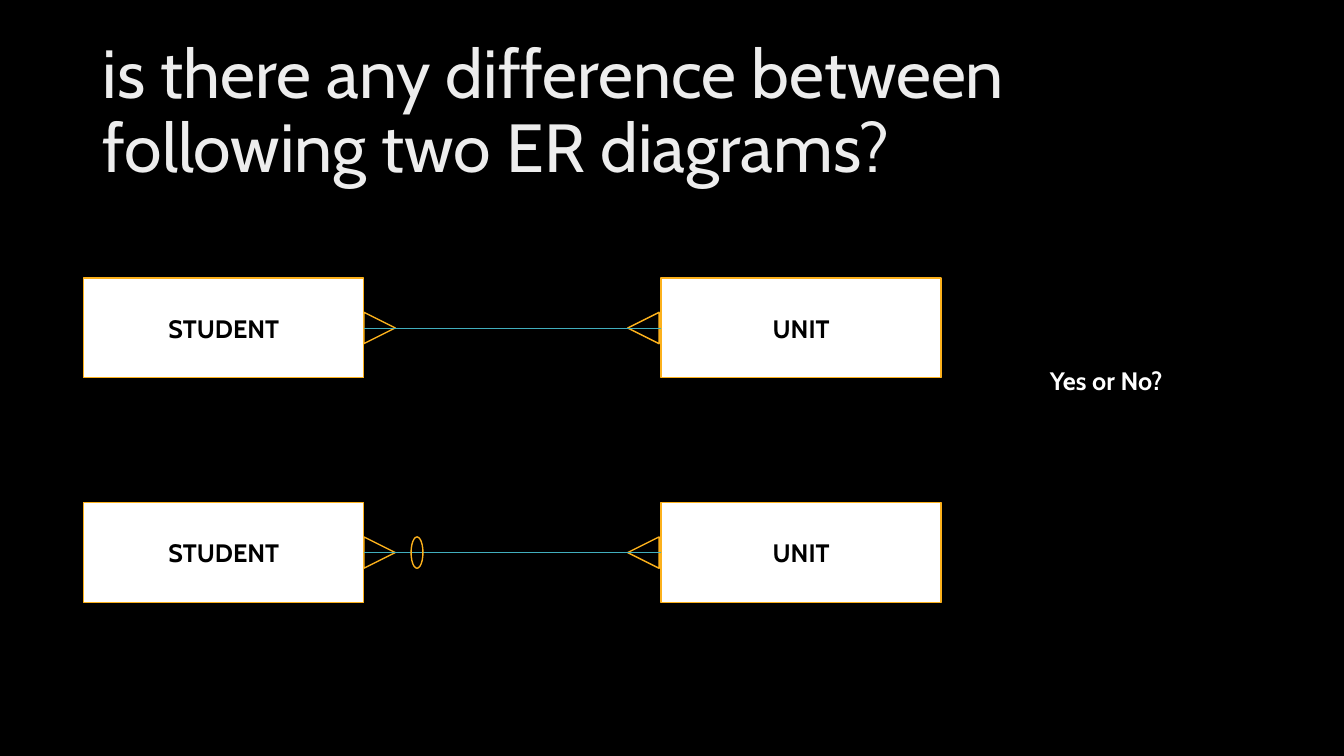
import pptx
import pptx.dml.color
import pptx.enum.shapes
import pptx.enum.text
import pptx.oxml
import pptx.util

Cm = pptx.util.Cm
Pt = pptx.util.Pt
RGBColor = pptx.dml.color.RGBColor
Preset = pptx.enum.shapes.MSO_SHAPE
Anchor = pptx.enum.text.MSO_ANCHOR
Align = pptx.enum.text.PP_ALIGN

QUESTION = "is there any difference between following two ER diagrams?"
ANSWER = "Yes or No?"
ENTITIES = ("STUDENT", "UNIT")
DIAGRAMS = (
    {"top": 7.01, "optional": False},
    {"top": 12.67, "optional": True},
)

BLACK = RGBColor(0x00, 0x00, 0x00)
WHITE = RGBColor(0xFF, 0xFF, 0xFF)
PALE = RGBColor(0xED, 0xED, 0xED)
AMBER = RGBColor(0xFC, 0xB1, 0x1C)
TEAL = RGBColor(0x41, 0xAE, 0xBD)

ENTITY_LEFTS = (2.11, 16.66)
ENTITY_WIDTH, ENTITY_HEIGHT = 7.06, 2.51
FOOT_SIZE = 0.79
FEET = ((9.17, 90), (15.82, 270))
RING_LEFT, RING_WIDTH = 10.36, 0.3

TITLE_FONT = {"name": "Cabin", "size": Pt(48.6)}
LABEL_FONT = {"name": "Cabin", "size": Pt(18), "bold": True}


def write(box, text, font, color, align, **frame_format):
    frame = box.text_frame
    for key, value in frame_format.items():
        setattr(frame, key, value)
    para = frame.paragraphs[0]
    para.alignment = align
    span = para.add_run()
    span.text = text
    for key, value in font.items():
        setattr(span.font, key, value)
    span.font.color.rgb = color
    return para


def add_outline(page, preset, left, top, width, height, fill=None):
    shape = page.shapes.add_shape(preset, Cm(left), Cm(top), Cm(width), Cm(height))
    shape.shadow.inherit = False
    if fill is None:
        shape.fill.background()
    else:
        shape.fill.solid()
        shape.fill.fore_color.rgb = fill
    shape.line.color.rgb = AMBER
    shape.line.width = Pt(1)
    return shape


def add_relation(page, left, right, middle):
    line = page.shapes.add_connector(
        pptx.enum.shapes.MSO_CONNECTOR.STRAIGHT,
        Cm(left), Cm(middle), Cm(right), Cm(middle))
    line.line.color.rgb = TEAL
    line.line.width = Pt(0.5)
    line._element.spPr.append(pptx.oxml.parse_xml(
        '<a:effectLst xmlns:a="http://schemas.openxmlformats.org/drawingml/2006/main"/>'))


def add_diagram(page, top, optional):
    middle = top + ENTITY_HEIGHT / 2
    foot_top = middle - FOOT_SIZE / 2
    for name, left in zip(ENTITIES, ENTITY_LEFTS):
        entity = add_outline(page, Preset.RECTANGLE, left, top,
                             ENTITY_WIDTH, ENTITY_HEIGHT, WHITE)
        write(entity, name, LABEL_FONT, BLACK, Align.CENTER,
              vertical_anchor=Anchor.MIDDLE)
    for left, rotation in FEET:
        foot = add_outline(page, Preset.ISOSCELES_TRIANGLE, left, foot_top,
                           FOOT_SIZE, FOOT_SIZE)
        foot.rotation = rotation
    add_relation(page, ENTITY_LEFTS[0] + ENTITY_WIDTH, ENTITY_LEFTS[1], middle)
    if optional:
        add_outline(page, Preset.OVAL, RING_LEFT, foot_top, RING_WIDTH, FOOT_SIZE)


def main():
    deck = pptx.Presentation()
    deck.slide_width, deck.slide_height = Cm(33.87), Cm(19.05)
    page = deck.slides.add_slide(deck.slide_layouts[6])
    page.background.fill.solid()
    page.background.fill.fore_color.rgb = BLACK

    title = page.shapes.add_textbox(Cm(2.34), Cm(1.02), Cm(29.21), Cm(3.68))
    para = write(title, QUESTION, TITLE_FONT, PALE, Align.LEFT,
                 word_wrap=True, vertical_anchor=Anchor.MIDDLE)
    para.line_spacing = 0.9

    for diagram in DIAGRAMS:
        add_diagram(page, **diagram)

    answer = page.shapes.add_textbox(Cm(26.21), Cm(9.07), Cm(3.81), Cm(1.02))
    write(answer, ANSWER, LABEL_FONT, WHITE, Align.LEFT, word_wrap=False,
          auto_size=pptx.enum.text.MSO_AUTO_SIZE.SHAPE_TO_FIT_TEXT)

    deck.save("out.pptx")


if __name__ == "__main__":
    main()
